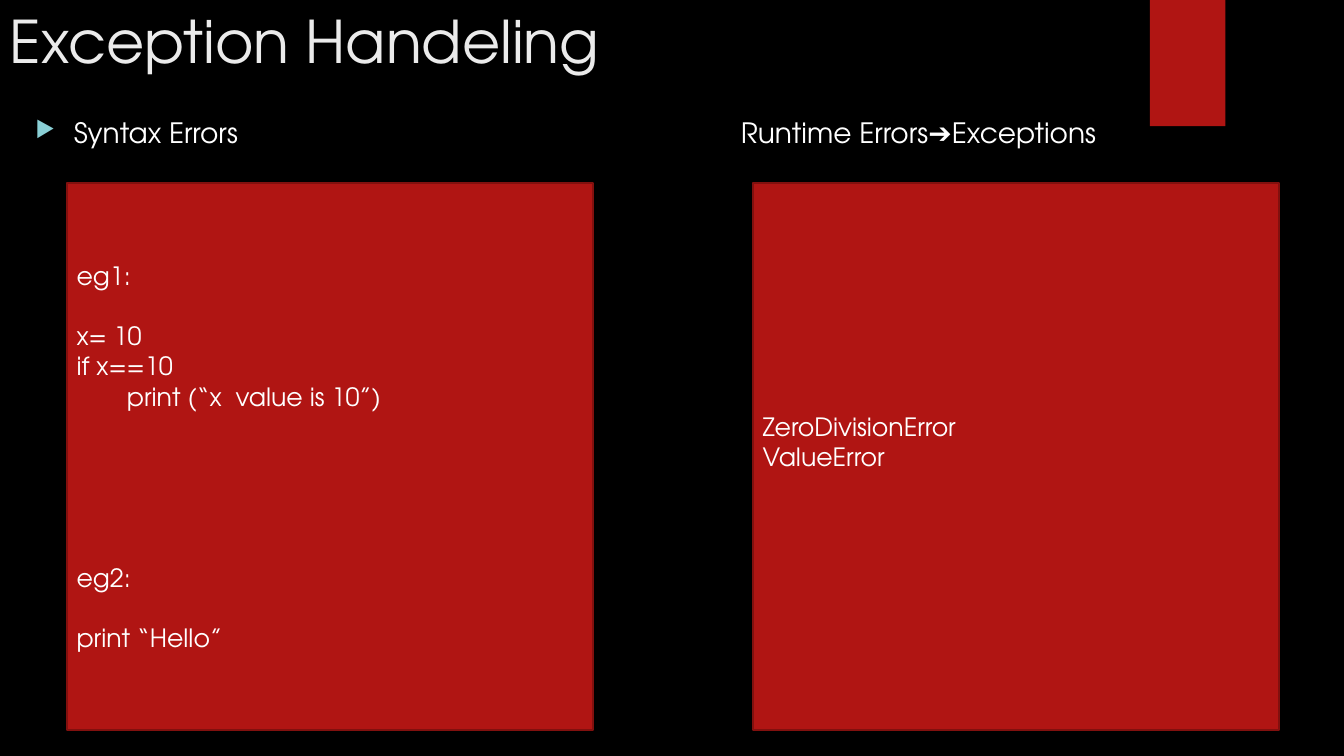
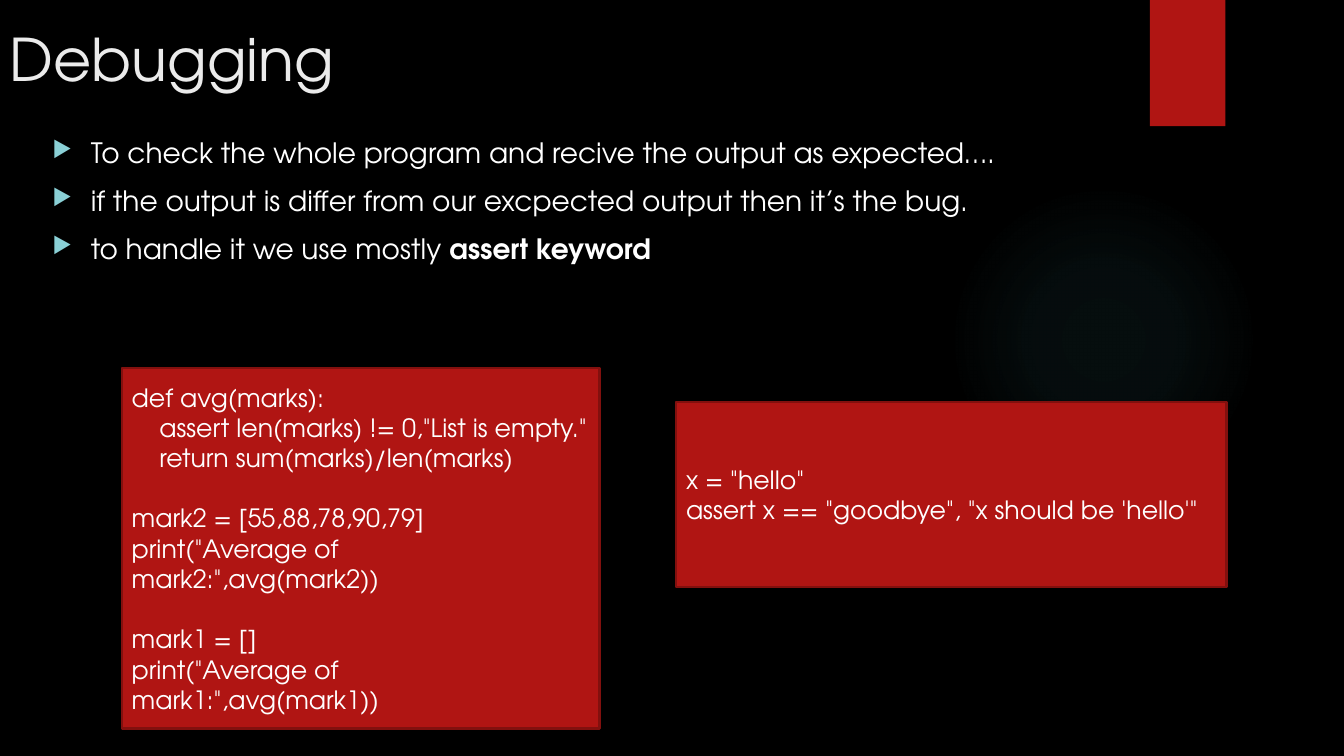
from lxml import etree
from pptx import Presentation
from pptx import util as u
from pptx.dml.color import RGBColor
from pptx.enum import shapes, text
from pptx.oxml import parse_xml
from pptx.oxml.ns import nsdecls, qn

COLORS = {
    "page": "000000", "accent": "B01513", "edge": "82100E", "title": "EBEBEB",
    "text": "FFFFFF", "bullet": "8AD0D6", "glow": "50B9C1", "shadow": "000000",
}
FONT = "TeX Gyre Adventor"
TITLE = {"size": u.Pt(42), "color": "title"}
BODY = {"size": u.Pt(20), "color": "text"}
CODE = {"size": u.Pt(18), "color": "text"}
BULLET_INDENT = u.Cm(0.97)
BULLET_GAP = u.Pt(10)
CODE_LINE = 21.6  # points from one line of code to the next
TAB, FOUR_SPACES = 1.27, 0.7  # centimetres

# A code line is (text, indent in centimetres, empty lines above).
SYNTAX_CODE = [
    ("eg1:", 0, 0),
    ("x= 10", 0, 1),
    ("if x==10", 0, 0),
    ("print (“x  value is 10”)", TAB, 0),
    ("eg2:", 0, 5),
    ("print “Hello”", 0, 1),
]
RUNTIME_CODE = [("ZeroDivisionError", 0, 0), ("ValueError", 0, 0)]
AVERAGE_CODE = [
    ("def avg(marks):", 0, 0),
    ('assert len(marks) != 0,"List is empty."', FOUR_SPACES, 0),
    ("return sum(marks)/len(marks)", FOUR_SPACES, 0),
    ("mark2 = [55,88,78,90,79]", 0, 1),
    ('print("Average of mark2:",avg(mark2))', 0, 0),
    ("mark1 = []", 0, 1),
    ('print("Average of mark1:",avg(mark1))', 0, 0),
]
ASSERT_CODE = [
    ('x = "hello"', 0, 0),
    ("assert x == \"goodbye\", \"x should be 'hello'\"", 0, 0),
]


def rgb(name):
    return RGBColor.from_string(COLORS[name])


def lengths(area):
    return [u.Cm(value) for value in area]


def set_all(target, values):
    for name, value in values.items():
        setattr(target, name, value)


def add_span(para, words, style, bold=False):
    span = para.add_run()
    span.text = words
    set_all(span.font, {"name": FONT, "size": style["size"], "bold": bold})
    span.font.color.rgb = rgb(style["color"])


def next_para(frame, index):
    return frame.paragraphs[0] if index == 0 else frame.add_paragraph()


def add_text_frame(page, area):
    frame = page.shapes.add_textbox(*lengths(area)).text_frame
    set_all(frame, {"word_wrap": True, "vertical_anchor": text.MSO_ANCHOR.TOP})
    return frame


def add_line_of_text(page, area, words, style):
    add_span(add_text_frame(page, area).paragraphs[0], words, style)


def add_bullets(page, area, items):
    """Each item is a list of (words, bold) pairs."""
    frame = add_text_frame(page, area)
    for index, item in enumerate(items):
        para = next_para(frame, index)
        if index:
            para.space_before = BULLET_GAP
        props = para._p.get_or_add_pPr()
        props.set("marL", str(BULLET_INDENT))
        props.set("indent", str(-BULLET_INDENT))
        color = etree.SubElement(props, qn("a:buClr"))
        etree.SubElement(color, qn("a:srgbClr"), val=COLORS["bullet"])
        etree.SubElement(props, qn("a:buSzPct"), val="80000")
        etree.SubElement(props, qn("a:buChar"), char="▶")
        for words, bold in item:
            add_span(para, words, BODY, bold)


def add_block(page, kind, area):
    block = page.shapes.add_shape(kind, *lengths(area))
    block.shadow.inherit = False
    block.fill.solid()
    block.fill.fore_color.rgb = rgb("accent")
    block.line.fill.background()
    return block


def add_code_box(page, area, lines, lines_below=0):
    """Code centred vertically, with room kept for empty lines below it."""
    box = add_block(page, shapes.MSO_SHAPE.RECTANGLE, area)
    box.line.color.rgb = rgb("edge")
    box.line.width = u.Pt(1.5)
    frame = box.text_frame
    set_all(frame, {
        "word_wrap": True,
        "vertical_anchor": text.MSO_ANCHOR.MIDDLE,
        "margin_bottom": u.Cm(0.13) + u.Pt(CODE_LINE * lines_below),
    })
    for index, (words, indent, lines_above) in enumerate(lines):
        para = next_para(frame, index)
        set_all(para, {
            "alignment": text.PP_ALIGN.LEFT,
            "space_before": u.Pt(CODE_LINE * lines_above),
        })
        para._p.get_or_add_pPr().set("marL", str(u.Cm(indent)))
        add_span(para, words, CODE)


def add_glow(page):
    glow = add_block(page, shapes.MSO_SHAPE.OVAL, (23.9, 4.65, 7.82, 7.82))
    stops = "".join(
        f'<a:gs pos="{place * 1000}"><a:srgbClr val="{COLORS["glow"]}">'
        f'<a:alpha val="{alpha * 1000}"/></a:srgbClr></a:gs>'
        for place, alpha in ((0, 7), (36, 6), (69, 0)))
    gradient = parse_xml(
        f'<a:gradFill {nsdecls("a")}><a:gsLst>{stops}</a:gsLst>'
        '<a:path path="circle"><a:fillToRect l="50000" t="50000" r="50000" '
        'b="50000"/></a:path></a:gradFill>')
    props = glow._element.spPr
    props.replace(props.find(qn("a:solidFill")), gradient)


def add_ribbon(page):
    ribbon = add_block(page, shapes.MSO_SHAPE.RECTANGLE, (28.98, 0, 1.9, 3.18))
    effects = ribbon._element.spPr.find(qn("a:effectLst"))
    shadow = etree.SubElement(
        effects, qn("a:outerShdw"), blurRad=str(u.Pt(3)), dist=str(u.Pt(2)),
        dir="5400000", rotWithShape="0")
    color = etree.SubElement(shadow, qn("a:srgbClr"), val=COLORS["shadow"])
    etree.SubElement(color, qn("a:alpha"), val="45000")


def add_page(deck, title, title_top):
    page = deck.slides.add_slide(deck.slide_layouts[6])
    add_glow(page)
    add_ribbon(page)
    add_line_of_text(page, (0, title_top, 26.14, 3.89), title, TITLE)
    return page


def add_exceptions_page(deck):
    page = add_page(deck, "Exception Handeling", 0)
    add_bullets(page, (0.64, 2.79, 16, 1.3), [[("Syntax Errors", False)]])
    add_line_of_text(page, (18.42, 2.79, 14, 1.3),
                     "Runtime Errors➔Exceptions", BODY)
    add_code_box(page, (1.68, 4.62, 13.26, 13.77), SYNTAX_CODE)
    add_code_box(page, (18.97, 4.62, 13.26, 13.77), RUNTIME_CODE, lines_below=1)


def add_debugging_page(deck):
    page = add_page(deck, "Debugging", 0.46)
    add_bullets(page, (1.07, 3.3, 32.16, 4), [
        [("To check the whole program and recive the output as expected….", False)],
        [("if the output is differ from our excpected output then it’s the bug.",
          False)],
        [("to handle it we use mostly ", False), ("assert keyword", True)],
    ])
    add_code_box(page, (3.07, 9.27, 12.04, 9.09), AVERAGE_CODE)
    add_code_box(page, (17.04, 10.13, 13.87, 4.67), ASSERT_CODE)


def main():
    deck = Presentation()
    set_all(deck, {"slide_width": u.Cm(33.87), "slide_height": u.Cm(19.05)})
    backdrop = deck.slide_master.background.fill
    backdrop.solid()
    backdrop.fore_color.rgb = rgb("page")
    add_exceptions_page(deck)
    add_debugging_page(deck)
    deck.save("out.pptx")


if __name__ == "__main__":
    main()
